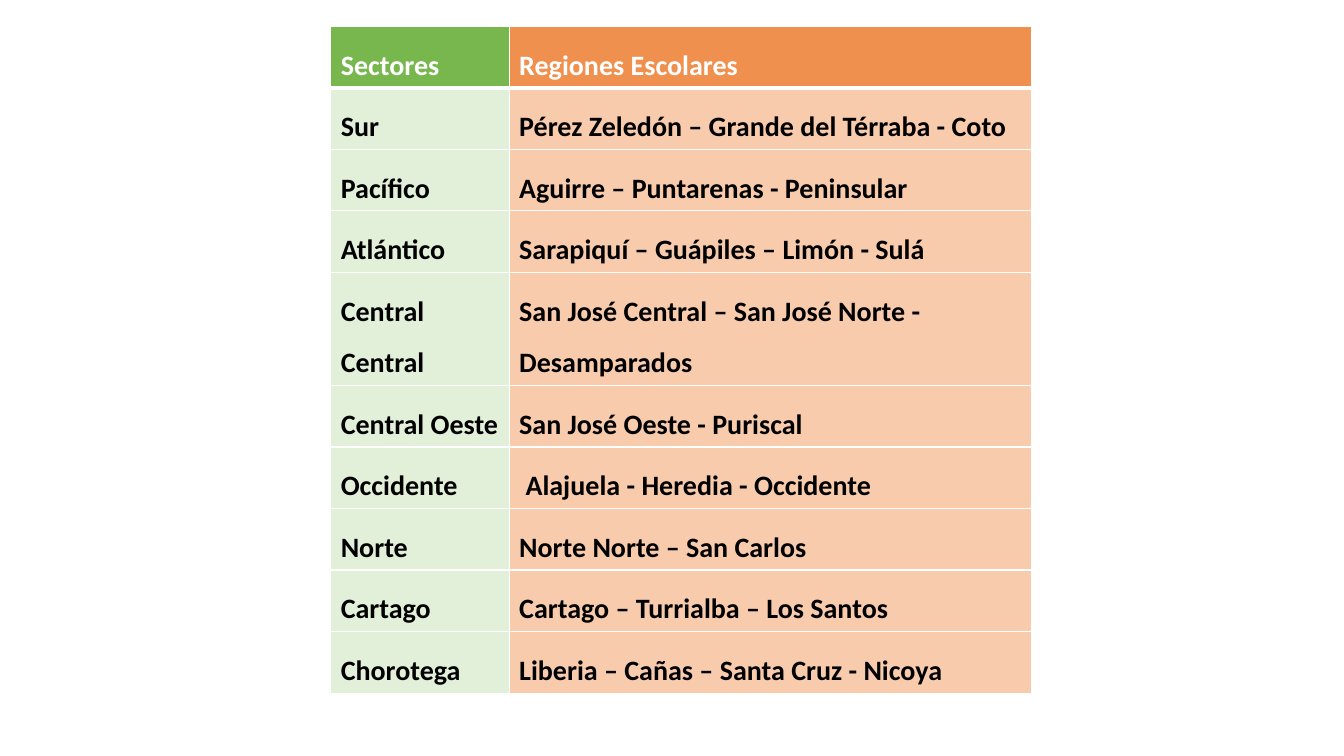
from dataclasses import dataclass

from lxml.etree import SubElement
from pptx import Presentation
from pptx.dml.color import RGBColor
from pptx.oxml.ns import qn
from pptx.table import _Cell as Cell
from pptx.util import Inches, Pt

COLORS = {
    "white": "FFFFFF",
    "black": "000000",
    "green": "78B64E",
    "orange": "F0904E",
    "pale_green": "E2F0D9",
    "pale_orange": "F8CBAD",
}
COLUMN_WIDTHS = (1.77, 5.18)
LINE_HEIGHT = 0.61
TWO_LINE_HEIGHT = 1.11


@dataclass(frozen=True)
class Sector:
    name: str
    regions: str
    height: float = LINE_HEIGHT


@dataclass(frozen=True)
class RowStyle:
    fills: tuple[str, str]
    text: str
    top: float = 1
    bottom: float = 1


HEADING = Sector("Sectores", "Regiones Escolares")
SECTORS = (
    Sector("Sur", "Pérez Zeledón – Grande del Térraba - Coto"),
    Sector("Pacífico", "Aguirre – Puntarenas - Peninsular"),
    Sector("Atlántico", "Sarapiquí – Guápiles – Limón - Sulá"),
    Sector("Central Central", "San José Central – San José Norte - Desamparados", TWO_LINE_HEIGHT),
    Sector("Central Oeste", "San José Oeste - Puriscal"),
    Sector("Occidente", " Alajuela - Heredia - Occidente"),
    Sector("Norte", "Norte Norte – San Carlos"),
    Sector("Cartago", "Cartago – Turrialba – Los Santos"),
    Sector("Chorotega", "Liberia – Cañas – Santa Cruz - Nicoya"),
)
HEADING_STYLE = RowStyle(("green", "orange"), "white", bottom=3)
FIRST_STYLE = RowStyle(("pale_green", "pale_orange"), "black", top=3)
BODY_STYLE = RowStyle(("pale_green", "pale_orange"), "black")


def rgb(color: str) -> RGBColor:
    """Look up a palette color."""
    return RGBColor.from_string(COLORS[color])


def draw_borders(cell: Cell, style: RowStyle) -> None:
    """Give the cell white borders on its four sides."""
    properties = cell._tc.get_or_add_tcPr()
    sides = {"lnL": 1, "lnR": 1, "lnT": style.top, "lnB": style.bottom}
    for side, width in sides.items():
        border = SubElement(properties, qn(f"a:{side}"), w=str(Pt(width)))
        paint = SubElement(border, qn("a:solidFill"))
        SubElement(paint, qn("a:srgbClr"), val=COLORS["white"])


def draw_cell(cell: Cell, wording: str, fill: str, style: RowStyle) -> None:
    """Fill, border and write one cell."""
    draw_borders(cell, style)
    cell.fill.solid()
    cell.fill.fore_color.rgb = rgb(fill)
    paragraph = cell.text_frame.paragraphs[0]
    paragraph.line_spacing = 1.5
    run = paragraph.add_run()
    run.text = wording
    run.font.name = "Calibri"
    run.font.size = Pt(20)
    run.font.bold = True
    run.font.color.rgb = rgb(style.text)


def main() -> None:
    """Build the slide of school regions by sector."""
    deck = Presentation()
    deck.slide_width = Inches(13.33)
    deck.slide_height = Inches(7.5)
    slide = deck.slides.add_slide(deck.slide_layouts[6])

    entries = (HEADING, *SECTORS)
    styles = (HEADING_STYLE, FIRST_STYLE, *[BODY_STYLE] * (len(SECTORS) - 1))
    regions_table = slide.shapes.add_table(
        len(entries), len(COLUMN_WIDTHS), Inches(3.28), Inches(0.26),
        Inches(sum(COLUMN_WIDTHS)), Inches(sum(entry.height for entry in entries)),
    ).table
    for column, width in zip(regions_table.columns, COLUMN_WIDTHS):
        column.width = Inches(width)
    for row, entry, style in zip(regions_table.rows, entries, styles):
        row.height = Inches(entry.height)
        for cell, wording, fill in zip(row.cells, (entry.name, entry.regions), style.fills):
            draw_cell(cell, wording, fill, style)

    deck.save("out.pptx")


if __name__ == "__main__":
    main()
